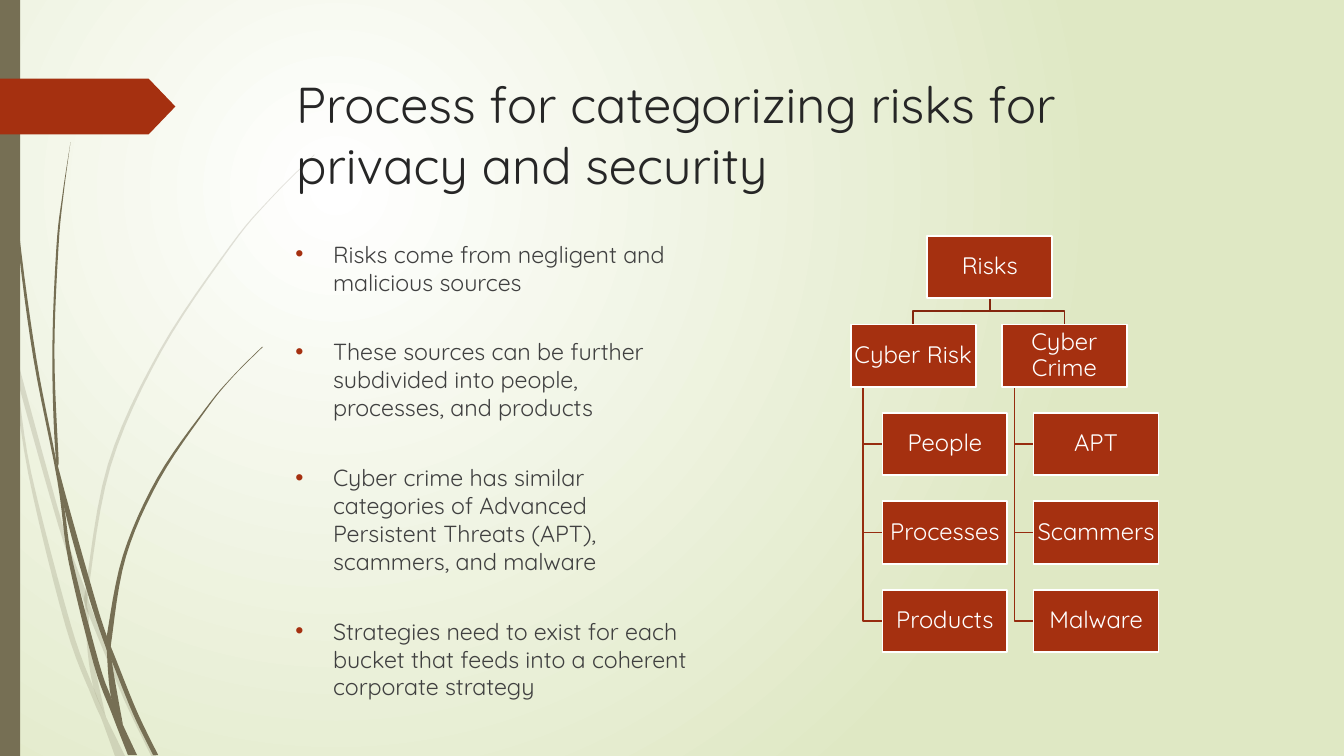
from dataclasses import dataclass

from lxml import etree
from pptx import Presentation
from pptx.dml.color import RGBColor
from pptx.enum.shapes import MSO_SHAPE
from pptx.enum.text import MSO_ANCHOR, PP_ALIGN
from pptx.oxml.ns import qn
from pptx.util import Pt

RECT, PENTAGON = MSO_SHAPE.RECTANGLE, MSO_SHAPE.PENTAGON
TOP, MIDDLE = MSO_ANCHOR.TOP, MSO_ANCHOR.MIDDLE
LEFT, CENTER = PP_ALIGN.LEFT, PP_ALIGN.CENTER

Point = tuple[float, float]


@dataclass(frozen=True)
class Theme:
    font: str = "Quicksand"
    accent: str = "A53010"
    bus: str = "84260D"
    spine: str = "962C0F"
    grass: str = "766F54"
    white: str = "FFFFFF"
    edge: str = "DFE8C4"
    title: str = "262626"
    body: str = "404040"
    title_size: float = 36
    body_size: float = 16.6
    box_size: float = 17
    line: float = 1.25


@dataclass(frozen=True)
class Blade:
    left: list[Point]
    right: list[Point]
    opacity: int = 100


@dataclass(frozen=True)
class Branch:
    head: str
    x: float
    children: list[str]


T = Theme()
FAINT = 20

BLADES = [
    Blade([(0, 203), (6.5, 231.8), (10.1, 248.4), (44.6, 374.4), (61.2, 421.9), (66.2, 437),
           (91.4, 498.2), (111.6, 540)],
          [(0, 215.3), (7.2, 247.7), (12.2, 270.7), (41.8, 375.8), (60.5, 431.3), (63.4, 439.2),
           (88.6, 499.7), (108, 540)], FAINT),
    Blade([(7.9, 252), (20.2, 338.4), (46.8, 447.1), (66.2, 499), (72.7, 514.1), (82.1, 540)],
          [(7.9, 252), (12.2, 270.7), (22.3, 337.7), (50.4, 445.7), (67, 491.8), (75.6, 511.9),
           (89.3, 540)], FAINT),
    Blade([(224.6, 110.2), (193, 141.8), (164.2, 175.7), (113.8, 250.6), (77, 331.9),
           (61.2, 420.5), (60.5, 431.3), (62.6, 465.1), (67, 491.8), (75.6, 511.9)],
          [(224.6, 110.9), (193, 142.6), (164.9, 176.4), (115.2, 251.3), (79.2, 332.6),
           (63.4, 420.5), (63.4, 439.2), (65.5, 465.1), (75.6, 511.9)], FAINT),
    Blade([(2.2, 0), (2.9, 34.6), (5, 79.2), (12.2, 167.8), (23.8, 255.6), (41, 343.4),
           (49, 401), (67, 474.5), (79.9, 509.8), (91.4, 539.3)],
          [(2.9, 0), (3.6, 34.6), (5.8, 78.5), (13.7, 167), (25.9, 255.6), (39.6, 326.2),
           (46.1, 363.6), (51.8, 400.3), (70.6, 473), (79.2, 497.5), (87.8, 517.7),
           (97.9, 539.3)]),
    Blade([(50.4, 101.5), (44.6, 139), (40.3, 176.4), (37.4, 251.3), (39.6, 323.3),
           (46.1, 363.6), (63.4, 426.2), (76.3, 464.4), (79.9, 472.3), (95, 509.8),
           (109.4, 539.3)],
          [(50.4, 101.5), (45.4, 139), (41.8, 176.4), (38.9, 251.3), (41.8, 326.2),
           (43.2, 339.8), (67, 424.8), (76.3, 454.3), (81.4, 467.3), (97.9, 508.3),
           (113, 539.3)]),
    Blade([(187.2, 247.7), (166.3, 268.6), (146.9, 291.6), (112.3, 341.3), (87.8, 396.7),
           (76.3, 454.3), (76.3, 464.4), (79.2, 497.5), (87.8, 517.7)],
          [(187.9, 247.7), (166.3, 269.3), (147.6, 292.3), (113.8, 342.7), (90, 397.4),
           (79.9, 455.8), (79.9, 472.3), (87.8, 517.7)]),
]

BULLETS = [
    "Risks come from negligent and malicious sources",
    "These sources can be further subdivided into people, processes, and products",
    "Cyber crime has similar categories of Advanced Persistent Threats (APT), "
    "scammers, and malware",
    "Strategies need to exist for each bucket that feeds into a coherent corporate strategy",
]

# Risk tree grid
BOX_W, BOX_H, ROW_STEP = 89.3, 44.6, 63.2
TREE_TOP, ROOT_X = 168.5, 662.4
CHILD_DX, SPINE_DX = 22.6, 9
BRANCHES = [
    Branch("Cyber Risk", 607.7, ["People", "Processes", "Products"]),
    Branch("Cyber\vCrime", 715.7, ["APT", "Scammers", "Malware"]),
]


def rgb(color: str) -> RGBColor:
    return RGBColor.from_string(color)


def smooth(pts: list[Point], steps: int = 6) -> list[Point]:
    """Catmull-Rom curve through the points."""
    ends = [pts[0], *pts, pts[-1]]
    curve = []
    for a, b, c, d in zip(ends, ends[1:], ends[2:], ends[3:]):
        for t in (i / steps for i in range(steps)):
            curve.append(tuple(
                b[k] + t / 2 * (c[k] - a[k] + t * (2 * a[k] - 5 * b[k] + 4 * c[k] - d[k]
                                + t * (3 * (b[k] - c[k]) + d[k] - a[k])))
                for k in (0, 1)))
    return [*curve, pts[-1]]


def add_path(pts: list[Point], close: bool):
    builder = shapes.build_freeform(Pt(pts[0][0]), Pt(pts[0][1]))
    builder.add_line_segments([(Pt(x), Pt(y)) for x, y in pts[1:]], close=close)
    sp = builder.convert_to_shape()
    sp.shadow.inherit = False
    return sp


def paint(sp, fill: str | None, line: str | None = None) -> None:
    for fmt, color in ((sp.fill, fill), (sp.line.fill, line)):
        if color:
            fmt.solid()
            fmt.fore_color.rgb = rgb(color)
        else:
            fmt.background()
    if line:
        sp.line.width = Pt(T.line)


def add_blade(blade: Blade) -> None:
    sp = add_path(smooth(blade.left) + smooth(blade.right)[::-1], True)
    paint(sp, T.grass)
    if blade.opacity < 100:
        clr = sp.element.spPr.find(qn("a:solidFill"))[0]
        etree.SubElement(clr, qn("a:alpha"), val=str(blade.opacity * 1000))


def add_wire(pts: list[Point], color: str) -> None:
    paint(add_path(pts, False), None, color)


def add_preset(kind, x: float, y: float, w: float, h: float, fill: str, line: str | None = None):
    sp = shapes.add_shape(kind, Pt(x), Pt(y), Pt(w), Pt(h))
    sp.shadow.inherit = False
    paint(sp, fill, line)
    return sp


def set_text(sp, paras: list[str], size: float, color: str, frame: dict, para: dict) -> None:
    tf = sp.text_frame
    for name, value in ({"word_wrap": True} | frame).items():
        setattr(tf, name, value)
    for i, text in enumerate(paras):
        p = tf.paragraphs[0] if i == 0 else tf.add_paragraph()
        p.text = text
        for name, value in para.items():
            setattr(p, name, value)
        for r in p.runs:
            for name, value in {"name": T.font, "size": Pt(size)}.items():
                setattr(r.font, name, value)
            r.font.color.rgb = rgb(color)


def add_box(text: str, x: float, row: int) -> None:
    sp = add_preset(RECT, x, TREE_TOP + row * ROW_STEP, BOX_W, BOX_H, T.accent, T.white)
    sides = ("left", "right", "top", "bottom")
    frame = {f"margin_{side}": Pt(0.8) for side in sides} | {"vertical_anchor": MIDDLE}
    set_text(sp, [text], T.box_size, T.white, frame, {"alignment": CENTER, "line_spacing": 0.9})


def add_bullet(p) -> None:
    pPr = p._p.get_or_add_pPr()
    pPr.set("marL", str(Pt(27)))
    pPr.set("indent", str(-Pt(27)))
    clr = etree.SubElement(pPr, qn("a:buClr"))
    etree.SubElement(clr, qn("a:srgbClr"), val=T.accent)
    etree.SubElement(pPr, qn("a:buFont"), typeface="Arial")
    etree.SubElement(pPr, qn("a:buChar"), char="•")


prs = Presentation()
prs.slide_width, prs.slide_height = Pt(960), Pt(540)
slide = prs.slides.add_slide(prs.slide_layouts[6])
shapes = slide.shapes

# Background: circular gradient
bg = slide.background.fill
bg.gradient()
for stop, color, pos in zip(bg.gradient_stops, (T.white, T.edge), (0, 1)):
    stop.color.rgb, stop.position = rgb(color), pos
grad = slide.element.find(".//" + qn("a:gradFill"))
lin = grad.find(qn("a:lin"))
circle = etree.Element(qn("a:path"), path="circle")
etree.SubElement(circle, qn("a:fillToRect"), l="50000", t="50000", r="100000", b="100000")
grad.replace(lin, circle)

# Grass, side bar and pennant
for blade in BLADES:
    add_blade(blade)
add_preset(RECT, 0, 0, 14.4, 540, T.grass)
add_preset(PENTAGON, 0, 56.2, 125.3, 39.8, T.accent).adjustments[0] = 0.48

# Title and bullets
title = shapes.add_textbox(Pt(204.5), Pt(49), Pt(702), Pt(100.8))
set_text(title, ["Process for categorizing risks for\vprivacy and security"], T.title_size, T.title,
         {"vertical_anchor": TOP}, {"alignment": LEFT})
body = shapes.add_textbox(Pt(203.8), Pt(167.8), Pt(298), Pt(297.4))
set_text(body, BULLETS, T.body_size, T.body, {"vertical_anchor": TOP}, {"space_before": Pt(30)})
body.text_frame.paragraphs[0].space_before = Pt(0)
for p in body.text_frame.paragraphs:
    add_bullet(p)

# Risk tree: wires first, boxes on top
root_mid, root_end = ROOT_X + BOX_W / 2, TREE_TOP + BOX_H
head_top = TREE_TOP + ROW_STEP
bus_y = (root_end + head_top) / 2
for b in BRANCHES:
    mid, spine = b.x + BOX_W / 2, b.x + SPINE_DX
    add_wire([(root_mid, root_end), (root_mid, bus_y), (mid, bus_y), (mid, head_top)], T.bus)
    for row in range(2, 2 + len(b.children)):
        y = TREE_TOP + row * ROW_STEP + BOX_H / 2
        add_wire([(spine, head_top + BOX_H), (spine, y), (b.x + CHILD_DX, y)], T.spine)
add_box("Risks", ROOT_X, 0)
for b in BRANCHES:
    add_box(b.head, b.x, 1)
    for row, child in enumerate(b.children, 2):
        add_box(child, b.x + CHILD_DX, row)

prs.save("out.pptx")
